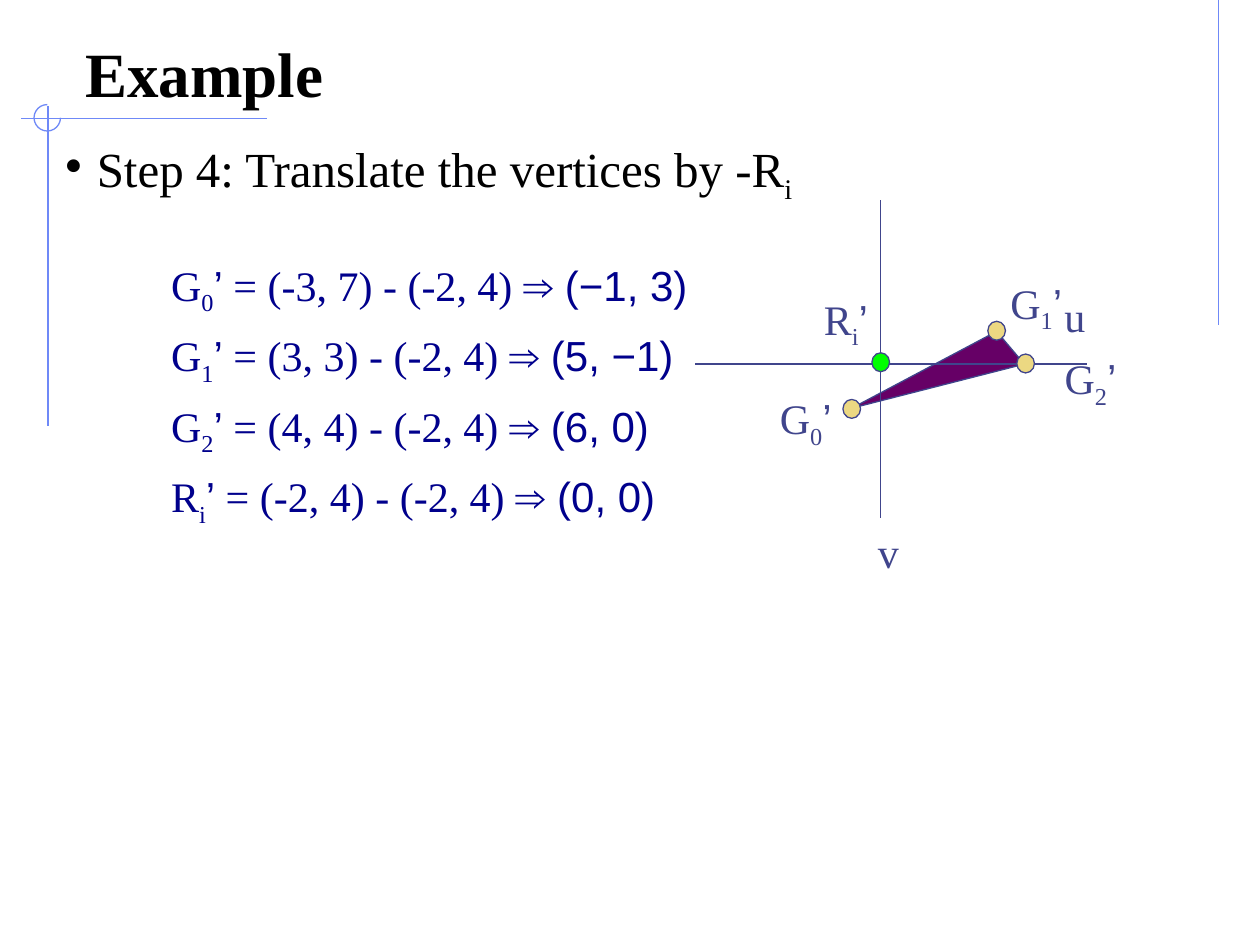
import pptx
import pptx.dml.color
import pptx.enum.shapes
import pptx.enum.text
import pptx.util
from lxml import etree
from pptx.util import Inches

COLORS = {"ornament": "6F89F7", "ink": "40458C", "formula": "00008C", "black": "000000",
          "triangle": "660066", "vertex": "ECD882", "reference": "00FF00"}
RGB = {name: pptx.dml.color.RGBColor.from_string(value) for name, value in COLORS.items()}
SERIF, SANS = "Times New Roman", "Arial"
SHAPES = pptx.enum.shapes.MSO_SHAPE
TOP = pptx.enum.text.MSO_ANCHOR.TOP
BOTTOM = pptx.enum.text.MSO_ANCHOR.BOTTOM
FIT = pptx.enum.text.MSO_AUTO_SIZE.SHAPE_TO_FIT_TEXT

deck = pptx.Presentation()
deck.slide_width, deck.slide_height = Inches(10), Inches(7.5)
slide = deck.slides.add_slide(deck.slide_layouts[6])


def add_text(place, lines, size, color, bold=False, **frame_format):
    """Add a text box; each line is a list of (text, font, is_subscript) runs."""
    frame = slide.shapes.add_textbox(*map(Inches, place)).text_frame
    for key, value in {"word_wrap": True, **frame_format}.items():
        setattr(frame, key, value)
    for index, runs in enumerate(lines):
        paragraph = frame.paragraphs[0] if index == 0 else frame.add_paragraph()
        for text, font, subscript in runs:
            run = paragraph.add_run()
            run.text = text
            for key, value in {"name": font, "size": pptx.util.Pt(size), "bold": bold}.items():
                setattr(run.font, key, value)
            run.font.color.rgb = RGB[color]
            if subscript:
                run.font._element.set("baseline", "-25000")
    return frame


def outline(shape, color, fill=None):
    """Give a shape its thin line and its fill, without a shadow."""
    shape.shadow.inherit = False
    shape.line.color.rgb = RGB[color]
    shape.line.width = pptx.util.Pt(0.75)
    if fill:
        shape.fill.solid()
        shape.fill.fore_color.rgb = RGB[fill]
    else:
        shape.fill.background()


# Corner ornaments: three lines and a three-quarter circle
ornaments = [(9.67, 0, 9.67, 2.58), (0.17, 0.94, 2.12, 0.94), (0.38, 0.84, 0.38, 3.38)]
# Axes of the u-v plane
axes = [(6.99, 1.59, 6.99, 4.11), (5.52, 2.89, 8.63, 2.89)]

ring = slide.shapes.add_shape(SHAPES.ARC, *map(Inches, (0.27, 0.83, 0.21, 0.21)))
ring.adjustments[0], ring.adjustments[1] = 0, 162  # from 0 to 270 degrees
outline(ring, "ornament")

# Title
add_text((0.58, 0.25, 8.83, 0.67), [[("Example", SERIF, False)]], 36, "black",
         bold=True, vertical_anchor=BOTTOM)

# Step heading with its bullet
step = add_text((0.42, 1, 9.17, 6.17),
                [[("Step 4: Translate the vertices by -R", SERIF, False), ("i", SERIF, True)]],
                28, "black", vertical_anchor=TOP, margin_top=Inches(0.1))
step_format = step.paragraphs[0]._p.get_or_add_pPr()
for key, value in {"marL": Inches(0.25), "indent": Inches(-0.25)}.items():
    step_format.set(key, str(value))
bullet = etree.SubElement(step_format, pptx.oxml.ns.qn("a:buChar"))
bullet.set("char", "•")

# Triangle G0' G1' G2'
corners = [(Inches(x), Inches(y)) for x, y in [(6.76, 3.24), (7.91, 2.63), (8.13, 2.89)]]
builder = slide.shapes.build_freeform(*corners[0])
builder.add_line_segments(corners[1:], close=True)
outline(builder.convert_to_shape(), "ink", "triangle")

for color, lines in {"ornament": ornaments, "ink": axes}.items():
    for ends in lines:
        line = slide.shapes.add_connector(
            pptx.enum.shapes.MSO_CONNECTOR.STRAIGHT, *map(Inches, ends))
        line.line.color.rgb = RGB[color]
        line.line.width = pptx.util.Pt(0.75)
        etree.SubElement(line._element.spPr, pptx.oxml.ns.qn("a:effectLst"))

# Points: letter, subscript, dot position, dot fill, label box, translation, result
points = [
    ("G", "0", (6.69, 3.17), "vertex", (6.09, 3.07, 0.61, 0.56), "(-3, 7)", "(−1, 3)"),
    ("G", "1", (7.84, 2.55), "vertex", (7.92, 2.15, 0.61, 0.56), "(3, 3)", "(5, −1)"),
    ("G", "2", (8.07, 2.81), "vertex", (8.35, 2.75, 0.61, 0.56), "(4, 4)", "(6, 0)"),
    ("R", "i", (6.92, 2.8), "reference", (6.44, 2.28, 0.55, 0.56), "(-2, 4)", "(0, 0)"),
]
formulas = []
for letter, subscript, dot_at, fill, label_place, start, result in points:
    dot = slide.shapes.add_shape(SHAPES.OVAL, *map(Inches, (*dot_at, 0.14, 0.15)))
    outline(dot, "ink", fill)
    label = [(letter, SERIF, False), (subscript, SERIF, True), ("’", SANS, False)]
    add_text(label_place, [label], 24, "ink", word_wrap=False, auto_size=FIT)
    formulas.append(label + [(f" = {start} - (-2, 4) ", SERIF, False),
                             (f"⇒ {result}", SANS, False)])

# Translation formulas
translations = add_text((0.76, 2.01, 4.88, 3.24), formulas, 24, "formula",
                        word_wrap=False, auto_size=FIT)
for index, paragraph in enumerate(translations.paragraphs):
    paragraph.level = 1
    paragraph.space_before = pptx.util.Pt(7.5 if index else 0)
    for key, value in {"marL": Inches(0.5), "indent": 0}.items():
        paragraph._p.get_or_add_pPr().set(key, str(value))

# Axis names
for name, place in {"u": (8.35, 2.26, 0.46, 0.5), "v": (6.87, 4.13, 0.46, 0.5)}.items():
    add_text(place, [[(name, SERIF, False)]], 24, "ink", auto_size=FIT)

deck.save("out.pptx")
